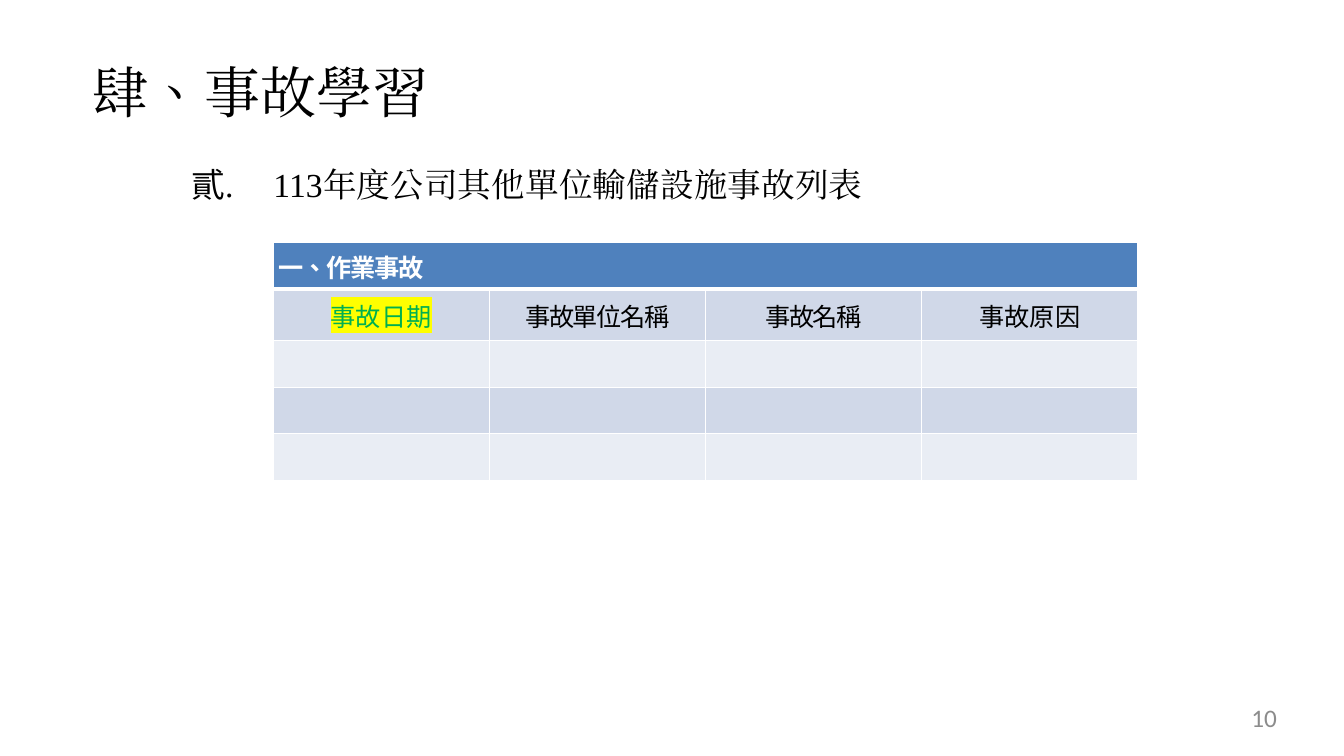
from dataclasses import dataclass

from lxml.etree import SubElement as Sub
from pptx import Presentation
from pptx.dml.color import RGBColor as Rgb
from pptx.enum.text import MSO_ANCHOR as Anchor, PP_ALIGN as Align
from pptx.oxml.ns import qn
from pptx.util import Cm, Pt


@dataclass(frozen=True)
class Theme:
    """Colours, fonts and type sizes of the slide."""
    ink: str = "000000"
    white: str = "FFFFFF"
    grey: str = "8C8C8C"
    green: str = "00B050"
    yellow: str = "FFFF00"
    head: str = "4F81BD"
    dark: str = "D0D8E8"
    light: str = "E9EDF4"
    serif: str = "Times New Roman"
    sans: str = "Calibri"
    han: str = "Noto Sans CJK SC"
    title: int = 40
    lead: int = 24
    body: int = 18


THEME = Theme()


def write(frame, text, *, size=THEME.body, face=THEME.han, color=THEME.ink,
          bold=False, align=Align.LEFT, space=0, mark=None, indent=0, hang=0,
          start=None):
    """Put one formatted paragraph into a text frame."""
    para = frame.paragraphs[0]
    props = para._p.get_or_add_pPr()
    props.set("marL", str(Cm(indent)))
    props.set("indent", str(Cm(hang)))
    if start:
        Sub(props, qn("a:buAutoNum"), type="ea1ChtPeriod", startAt=str(start))
    para.alignment = align
    run = para.add_run()
    run.text = text
    font = run.font
    font.size, font.bold = Pt(size), bold
    font.color.rgb = Rgb.from_string(color)
    look = run._r.get_or_add_rPr()
    look.set("lang", "zh-TW")
    look.set("spc", str(round(space * 100)))
    if mark:
        Sub(Sub(look, qn("a:highlight")), qn("a:srgbClr"), val=mark)
    font.name = face
    Sub(look, qn("a:ea"), typeface=face)


def label(slide, box, text, **style):
    """Add a text box without inner margins."""
    frame = slide.shapes.add_textbox(*map(Cm, box)).text_frame
    frame.word_wrap = True
    frame.margin_left = frame.margin_right = 0
    frame.margin_top = frame.margin_bottom = 0
    write(frame, text, **style)


def edge(cell, side, width):
    """Draw one white cell border."""
    line = Sub(cell._tc.get_or_add_tcPr(), qn(f"a:{side}"), w=str(Pt(width)))
    Sub(Sub(line, qn("a:solidFill")), qn("a:srgbClr"), val=THEME.white)


def paint(cell, fill, top, bottom):
    """Set the margins, borders and fill of a cell."""
    cell.margin_left = cell.margin_right = Cm(0.15)
    cell.margin_top = cell.margin_bottom = Cm(0.08)
    cell.vertical_anchor = Anchor.MIDDLE
    for side, width in (("lnL", 1), ("lnR", 1), ("lnT", top), ("lnB", bottom)):
        edge(cell, side, width)
    cell.fill.solid()
    cell.fill.fore_color.rgb = Rgb.from_string(fill)


def events(slide):
    """Add the table of work accidents."""
    fills = (THEME.head, THEME.dark, THEME.light, THEME.dark, THEME.light)
    heads = (("事故日期", 0), ("事故單位名稱", -1), ("事故名稱", -1), ("事故原因", 0))
    high = (1.17, 1.3, 1.17, 1.17, 1.17)
    table = slide.shapes.add_table(len(fills), len(heads), Cm(6.88), Cm(6.12),
                                   Cm(21.8), Cm(sum(high))).table
    for col in table.columns:
        col.width = Cm(5.45)
    for row, (fill, tall) in enumerate(zip(fills, high)):
        table.rows[row].height = Cm(tall)
        for cell in table.rows[row].cells:
            paint(cell, fill, 3 if row == 1 else 1, 3 if row == 0 else 1)
    table.cell(0, 0).merge(table.cell(0, len(heads) - 1))
    write(table.cell(0, 0).text_frame, "一、作業事故", color=THEME.white,
          bold=True, space=-1)
    for col, (text, space) in enumerate(heads):
        tint = {"color": THEME.green, "mark": THEME.yellow} if col == 0 else {}
        write(table.cell(1, col).text_frame, text, align=Align.CENTER,
              space=space, **tint)


def main():
    """Build and save the slide."""
    deck = Presentation()
    deck.slide_width, deck.slide_height = Cm(33.87), Cm(19.05)
    slide = deck.slides.add_slide(deck.slide_layouts[6])
    label(slide, (2.29, 1.45, 29.3, 1.73), "肆、事故學習", size=THEME.title,
          face=THEME.serif, space=0.1, indent=0.05)
    events(slide)
    label(slide, (24.38, 17.7, 7.8, 0.76), "10", face=THEME.sans,
          color=THEME.grey, align=Align.RIGHT)
    label(slide, (4.78, 4.14, 26, 1.02), "113年度公司其他單位輸儲設施事故列表",
          size=THEME.lead, face=THEME.serif, space=0.1, indent=2.11,
          hang=-2.06, start=2)
    deck.save("out.pptx")


if __name__ == "__main__":
    main()
